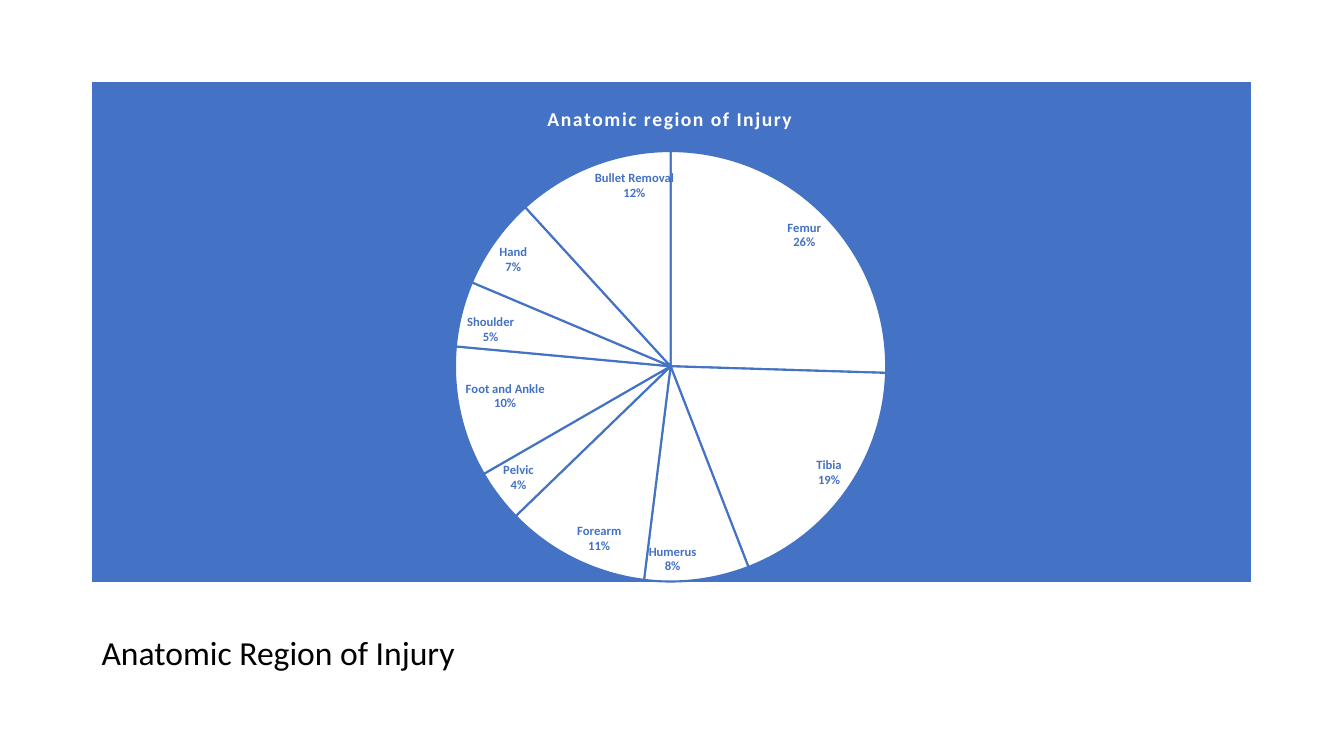
from dataclasses import dataclass

from lxml import etree
from pptx import Presentation
from pptx.chart.data import CategoryChartData
from pptx.dml.color import RGBColor
from pptx.enum.chart import XL_CHART_TYPE, XL_LABEL_POSITION
from pptx.enum.text import MSO_ANCHOR
from pptx.oxml import parse_xml
from pptx.oxml.ns import nsdecls, qn
from pptx.util import Cm, Pt

PIE = XL_CHART_TYPE.PIE
INSIDE_END = XL_LABEL_POSITION.INSIDE_END
BOTTOM = MSO_ANCHOR.BOTTOM


@dataclass(frozen=True)
class Theme:
    font: str = "Calibri"
    blue: RGBColor = RGBColor(0x44, 0x72, 0xC4)
    white: RGBColor = RGBColor(0xFF, 0xFF, 0xFF)
    black: RGBColor = RGBColor(0, 0, 0)
    caption: Pt = Pt(24)
    title: Pt = Pt(14)
    base: Pt = Pt(10)
    label: Pt = Pt(9)


THEME = Theme()
LEFT, WIDTH = Cm(2.31), Cm(29.21)
INJURIES = {
    "Femur": 26, "Tibia": 19, "Humerus": 8, "Forearm": 11, "Pelvic": 4,
    "Foot and Ankle": 10, "Shoulder": 5, "Hand": 7, "Bullet Removal": 12,
}


def style_font(font, size, color, bold=False):
    font.name, font.size, font.bold = THEME.font, size, bold
    font.color.rgb = color


def set_layout(parent, index, x, y, w=None, h=None):
    """Place a chart part by fractions of the chart area."""
    for old in parent.findall(qn("c:layout")):
        parent.remove(old)
    layout = parse_xml(f"<c:layout {nsdecls('c')}><c:manualLayout/></c:layout>")
    values = {"xMode": "edge", "yMode": "edge", "x": x, "y": y}
    if w is not None:
        values = {"layoutTarget": "inner", **values, "w": w, "h": h}
    for tag, value in values.items():
        etree.SubElement(layout[0], qn(f"c:{tag}")).set("val", str(value))
    parent.insert(index, layout)


def fill_background(chart, color):
    chart.element.find(qn("c:chart")).addnext(parse_xml(
        f"<c:spPr {nsdecls('c', 'a')}>"
        f'<a:solidFill><a:srgbClr val="{color}"/></a:solidFill>'
        f'<a:ln w="9525"><a:solidFill><a:srgbClr val="{color}"/></a:solidFill></a:ln>'
        "</c:spPr>"))


def add_title(chart, text):
    title = chart.chart_title
    p = title.text_frame.paragraphs[0]
    r = p.add_run()
    r.text = text
    style_font(p.font, THEME.title, THEME.white, True)
    style_font(r.font, THEME.title, THEME.white, True)
    r.font._element.set("spc", "100")
    title.include_in_layout = False
    set_layout(title._element, 1, 0.39, 0.04)


def add_pie(slide, title, values):
    data = CategoryChartData(number_format='0"%"')
    data.categories = list(values)
    data.add_series("Series 1", list(values.values()))
    chart = slide.shapes.add_chart(PIE, LEFT, Cm(2.06), WIDTH, Cm(12.62), data).chart
    style_font(chart.font, THEME.base, THEME.black)
    chart.has_legend = False
    fill_background(chart, THEME.blue)
    add_title(chart, title)

    # Slices
    plot = chart.plots[0]
    plot.vary_by_categories = False
    for i in range(len(values)):
        fmt = plot.series[0].points[i].format
        fmt.fill.solid()
        fmt.fill.fore_color.rgb = THEME.white
        fmt.line.color.rgb = THEME.blue
        fmt.line.width = Pt(1.5)
    set_layout(plot._element.getparent(), 0, 0.313, 0.138, 0.373, 0.862)

    # Labels: region above its percentage
    labels = plot.series[0].data_labels
    style_font(labels.font, THEME.label, THEME.blue, True)
    labels.number_format, labels.number_format_is_linked = '0"%"', False
    labels.position = INSIDE_END
    labels.show_category_name = labels.show_value = True
    labels.show_legend_key = labels.show_percentage = False
    separator = parse_xml(f"<c:separator {nsdecls('c')}>\n</c:separator>")
    labels._element.find(qn("c:showBubbleSize")).addnext(separator)


def add_caption(slide, text):
    tf = slide.shapes.add_textbox(LEFT, Cm(13.21), WIDTH, Cm(4.17)).text_frame
    tf.word_wrap = True
    tf.vertical_anchor = BOTTOM
    tf.margin_bottom = Cm(0.43)
    p = tf.paragraphs[0]
    p.text = text
    p.line_spacing = 0.9
    style_font(p.font, THEME.caption, THEME.black)


def main():
    prs = Presentation()
    prs.slide_width, prs.slide_height = Cm(33.87), Cm(19.05)
    s = prs.slides.add_slide(prs.slide_layouts[6])
    add_caption(s, "Anatomic Region of Injury")
    add_pie(s, "Anatomic region of Injury", INJURIES)
    prs.save("out.pptx")


if __name__ == "__main__":
    main()
